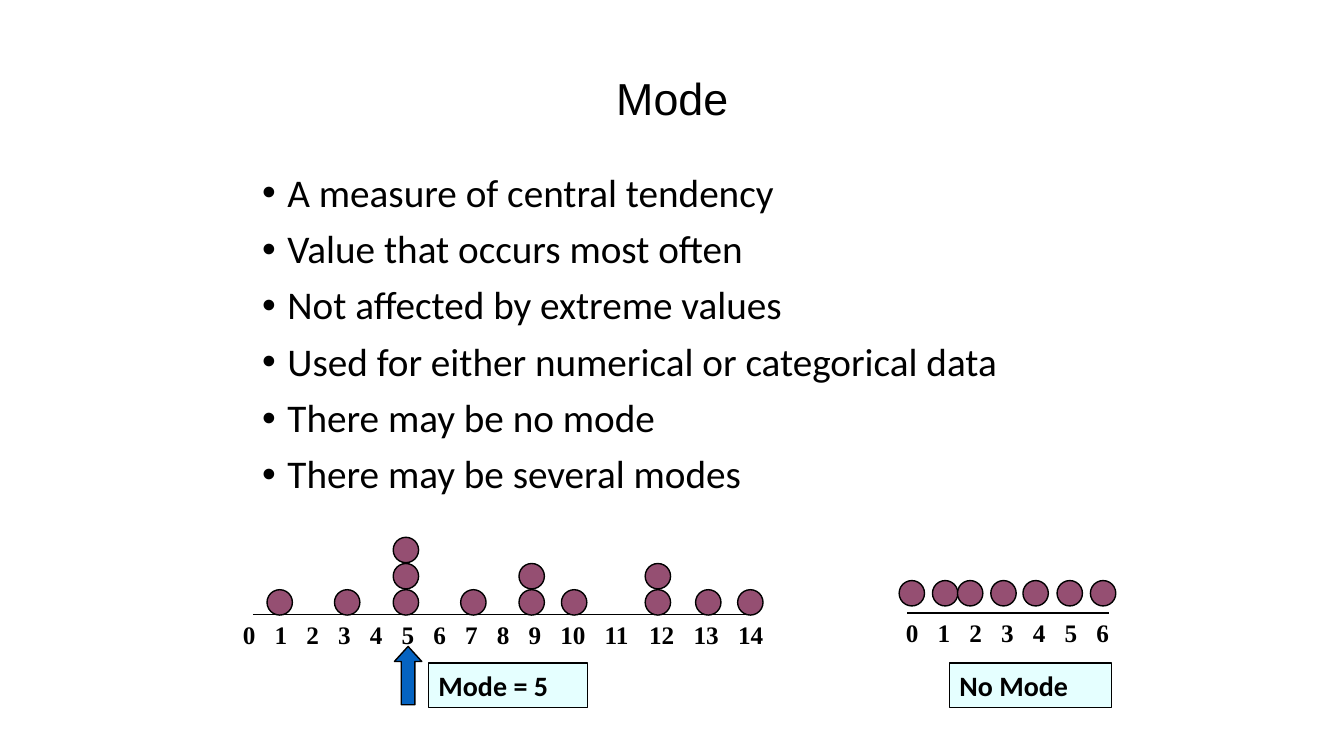
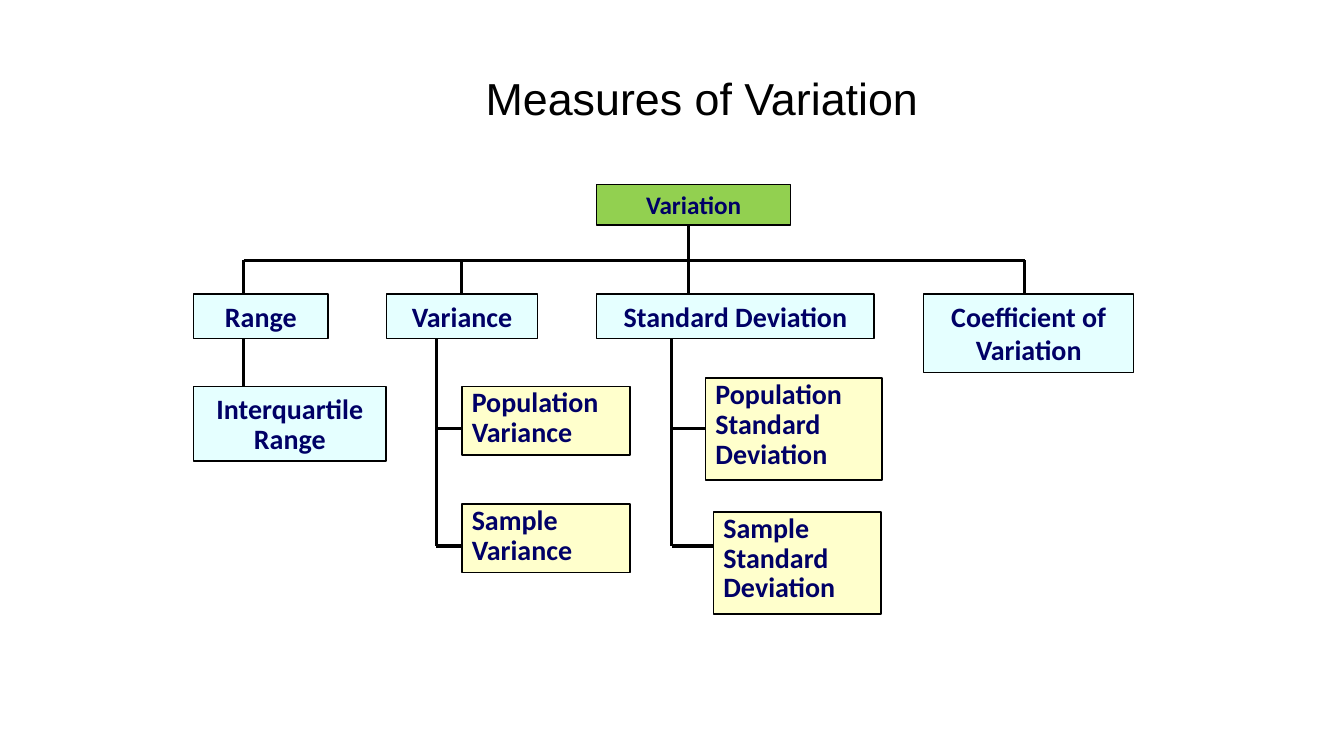
from dataclasses import dataclass
from itertools import accumulate

from lxml.etree import SubElement
from pptx import Presentation
from pptx.dml.color import RGBColor
from pptx.enum.shapes import MSO_CONNECTOR as Connector, MSO_SHAPE as Preset
from pptx.enum.text import MSO_ANCHOR as Anchor, MSO_AUTO_SIZE as AutoSize, PP_ALIGN as Align
from pptx.oxml.ns import qn
from pptx.util import Cm, Pt


@dataclass(frozen=True)
class Theme:
    black: str = "000000"
    navy: str = "000066"
    dot: str = "954F72"
    arrow: str = "0563C1"
    pale_blue: str = "E5FFFF"
    pale_yellow: str = "FFFFCC"
    green: str = "92D050"
    title_font: str = "Arial"
    text_font: str = "Calibri"
    axis_font: str = "Times New Roman"
    title_size: int = 32
    body_size: int = 28
    box_size: int = 20
    small_size: int = 18
    thin: float = 1
    thick: float = 2.25


THEME = Theme()

# All places are in centimetres: left, top, width, height.
SLIDE_SIZE = (33.87, 19.05)
TITLE_BOX = (6.15, 1.7, 21.59, 1.7)
BODY_BOX = (6.35, 4.24, 22.43, 12.6)

MODE_POINTS = [
    "A measure of central tendency",
    "Value that occurs most often",
    "Not affected by extreme values",
    "Used for either numerical or categorical data",
    "There may be no mode",
    "There may be several modes",
]
DOT_SIZE, DOT_STEP = 0.64, 0.66
DOT_PLOTS = [
    {
        "axis": (6.37, 18.87, 15.49),
        "labels": (5.87, 15.47, 15.29, 1.02),
        "last_value": 14,
        "dot_top": 14.86,
        "stacks": [(6.73, 1), (8.43, 1), (9.91, 3), (11.61, 1), (13.08, 2),
                   (14.15, 1), (16.26, 2), (17.53, 1), (18.59, 1)],
        "caption": ("Mode = 5", (10.8, 16.71, 4.01, 1.12)),
    },
    {
        "axis": (22.86, 27.94, 15.45),
        "labels": (22.58, 15.44, 7.04, 1.02),
        "last_value": 6,
        "dot_top": 14.63,
        "stacks": [(left, 1) for left in (22.66, 23.5, 24.13, 24.97, 25.78, 26.64, 27.48)],
        "caption": ("No Mode", (23.93, 16.71, 4.09, 1.12)),
    },
]
MODE_ARROW = (9.94, 16.29, 0.69, 1.47)

ROOT = ("Variation", (15.04, 4.65, 4.88, 1.02))
BUS_TOP, MEASURE_TOP = 6.56, 7.41
TRUNK = 17.36
MEASURES = [
    {"text": "Range", "left": 4.88, "size": (3.39, 1.12), "drop": 6.14},
    {"text": "Variance", "left": 9.74, "size": (3.81, 1.12), "drop": 11.64},
    {"text": "Standard Deviation", "left": 15.04, "size": (6.99, 1.12), "drop": TRUNK},
    {"text": "Coefficient of Variation", "left": 23.28, "size": (5.29, 1.98), "drop": 25.82},
]
INTERQUARTILE = (["Interquartile", "Range"], (4.88, 9.74, 4.85, 1.88))
BRANCH_TOPS = (10.8, 13.76)
SPINES = [
    (11, [(["Population", "Variance"], (11.64, 9.74, 4.24, 1.73)),
          (["Sample", "Variance"], (11.64, 12.7, 4.24, 1.73))]),
    (16.93, [(["Population", "Standard", "Deviation"], (17.78, 9.53, 4.45, 2.57)),
             (["Sample", "Standard", "Deviation"], (17.98, 12.9, 4.22, 2.57))]),
]


def lengths(values):
    return [Cm(value) for value in values]


def set_format(target, **values):
    for name, value in values.items():
        setattr(target, name, value)


def write(paragraph, text, font, size, color=THEME.black, bold=False, **paragraph_format):
    run = paragraph.add_run()
    run.text = text
    set_format(run.font, name=font, size=Pt(size), bold=bold)
    run.font.color.rgb = RGBColor.from_string(color)
    set_format(paragraph, **paragraph_format)


def add_paragraphs(frame, texts):
    """Yield index, paragraph and text, reusing the paragraph a frame starts with."""
    for index, text in enumerate(texts):
        yield index, frame.add_paragraph() if index else frame.paragraphs[0], text


def add_titled_slide(presentation, layout_index, title, shift=0):
    slide = presentation.slides.add_slide(presentation.slide_layouts[layout_index])
    frame = slide.shapes.title.text_frame
    set_format(frame, vertical_anchor=Anchor.MIDDLE, auto_size=AutoSize.NONE,
               margin_left=Cm(0.25 + 2 * shift))
    write(frame.paragraphs[0], title, THEME.title_font, THEME.title_size,
          alignment=Align.CENTER, line_spacing=0.9)
    return slide


def add_line(slide, x1, y1, x2, y2, weight):
    line = slide.shapes.add_connector(Connector.STRAIGHT, *lengths((x1, y1, x2, y2)))
    line.line.color.rgb = RGBColor.from_string(THEME.black)
    line.line.width = Pt(weight)
    SubElement(line._element.spPr, qn("a:effectLst"))


def add_preset(slide, preset, box, fill):
    shape = slide.shapes.add_shape(preset, *lengths(box))
    shape.shadow.inherit = False
    shape.fill.solid()
    shape.fill.fore_color.rgb = RGBColor.from_string(fill)
    shape.line.color.rgb = RGBColor.from_string(THEME.black)
    shape.line.width = Pt(THEME.thin)
    return shape


def add_box(slide, texts, box, fill, color=THEME.navy, size=THEME.box_size,
            alignment=Align.CENTER, first_spacing=1.0):
    frame = add_preset(slide, Preset.RECTANGLE, box, fill).text_frame
    set_format(frame, word_wrap=True, vertical_anchor=Anchor.TOP)
    for index, paragraph, text in add_paragraphs(frame, texts):
        write(paragraph, text, THEME.text_font, size, color, True, alignment=alignment,
              line_spacing=0.8 if index else first_spacing,
              space_before=Pt(2 if index else 0))


def add_axis_labels(slide, box, last_value):
    """Write 0 to last_value on one line, each at a tab stop after the one before."""
    labels = [str(value) for value in range(last_value + 1)]
    frame = slide.shapes.add_textbox(*lengths(box)).text_frame
    frame.word_wrap = True
    paragraph = frame.paragraphs[0]
    tabs = SubElement(paragraph._p.get_or_add_pPr(), qn("a:tabLst"))
    for stop in accumulate(0.48 + 0.32 * len(label) for label in labels[:-1]):
        SubElement(tabs, qn("a:tab"), pos=str(Cm(stop)), algn="l")
    write(paragraph, "\t".join(labels), THEME.axis_font, THEME.small_size, bold=True)


def add_dot_plot(slide, plot):
    start, end, axis_top = plot["axis"]
    add_line(slide, start, axis_top, end, axis_top, THEME.thin)
    add_axis_labels(slide, plot["labels"], plot["last_value"])
    for left, count in plot["stacks"]:
        for level in range(count):
            top = plot["dot_top"] - level * DOT_STEP
            add_preset(slide, Preset.OVAL, (left, top, DOT_SIZE, DOT_SIZE), THEME.dot)
    text, box = plot["caption"]
    add_box(slide, [text], box, THEME.pale_blue, THEME.black, alignment=Align.LEFT)


def build_mode(presentation):
    slide = add_titled_slide(presentation, 1, "Mode")
    frame = slide.placeholders[1].text_frame
    frame.auto_size = AutoSize.NONE
    for index, paragraph, text in add_paragraphs(frame, MODE_POINTS):
        properties = paragraph._p.get_or_add_pPr()
        properties.set("marL", str(Cm(0.64)))
        properties.set("indent", str(-Cm(0.64)))
        write(paragraph, text, THEME.text_font, THEME.body_size,
              line_spacing=0.9, space_before=Pt(10 if index else 0))
    for plot in DOT_PLOTS:
        add_dot_plot(slide, plot)
    arrow = add_preset(slide, Preset.UP_ARROW, MODE_ARROW, THEME.arrow)
    arrow.adjustments[1] = 0.55


def build_variation(presentation):
    slide = add_titled_slide(presentation, 5, "Measures of Variation", shift=0.75)
    root_text, root_box = ROOT
    measure_bottom = MEASURE_TOP + 1.12
    drops = [measure["drop"] for measure in MEASURES]

    segments = [(TRUNK, root_box[1] + root_box[3], TRUNK, BUS_TOP),
                (drops[0], BUS_TOP, drops[-1], BUS_TOP),
                (drops[0], measure_bottom, drops[0], INTERQUARTILE[1][1])]
    segments += [(drop, BUS_TOP, drop, MEASURE_TOP) for drop in drops]
    for spine, children in SPINES:
        segments.append((spine, measure_bottom, spine, BRANCH_TOPS[-1]))
        segments += [(spine, top, box[0], top) for top, (_, box) in zip(BRANCH_TOPS, children)]
    for segment in segments:
        add_line(slide, *segment, THEME.thick)

    add_box(slide, [root_text], root_box, THEME.green, size=THEME.small_size)
    for measure in MEASURES:
        box = (measure["left"], MEASURE_TOP, *measure["size"])
        add_box(slide, [measure["text"]], box, THEME.pale_blue)
    add_box(slide, *INTERQUARTILE, THEME.pale_blue)
    for _, children in SPINES:
        for texts, box in children:
            add_box(slide, texts, box, THEME.pale_yellow,
                    alignment=Align.LEFT, first_spacing=0.8)


def main():
    presentation = Presentation()
    presentation.slide_width, presentation.slide_height = lengths(SLIDE_SIZE)
    for placeholder, box in zip(presentation.slide_master.placeholders, (TITLE_BOX, BODY_BOX)):
        set_format(placeholder, **dict(zip(("left", "top", "width", "height"), lengths(box))))
    build_mode(presentation)
    build_variation(presentation)
    presentation.save("out.pptx")


if __name__ == "__main__":
    main()
